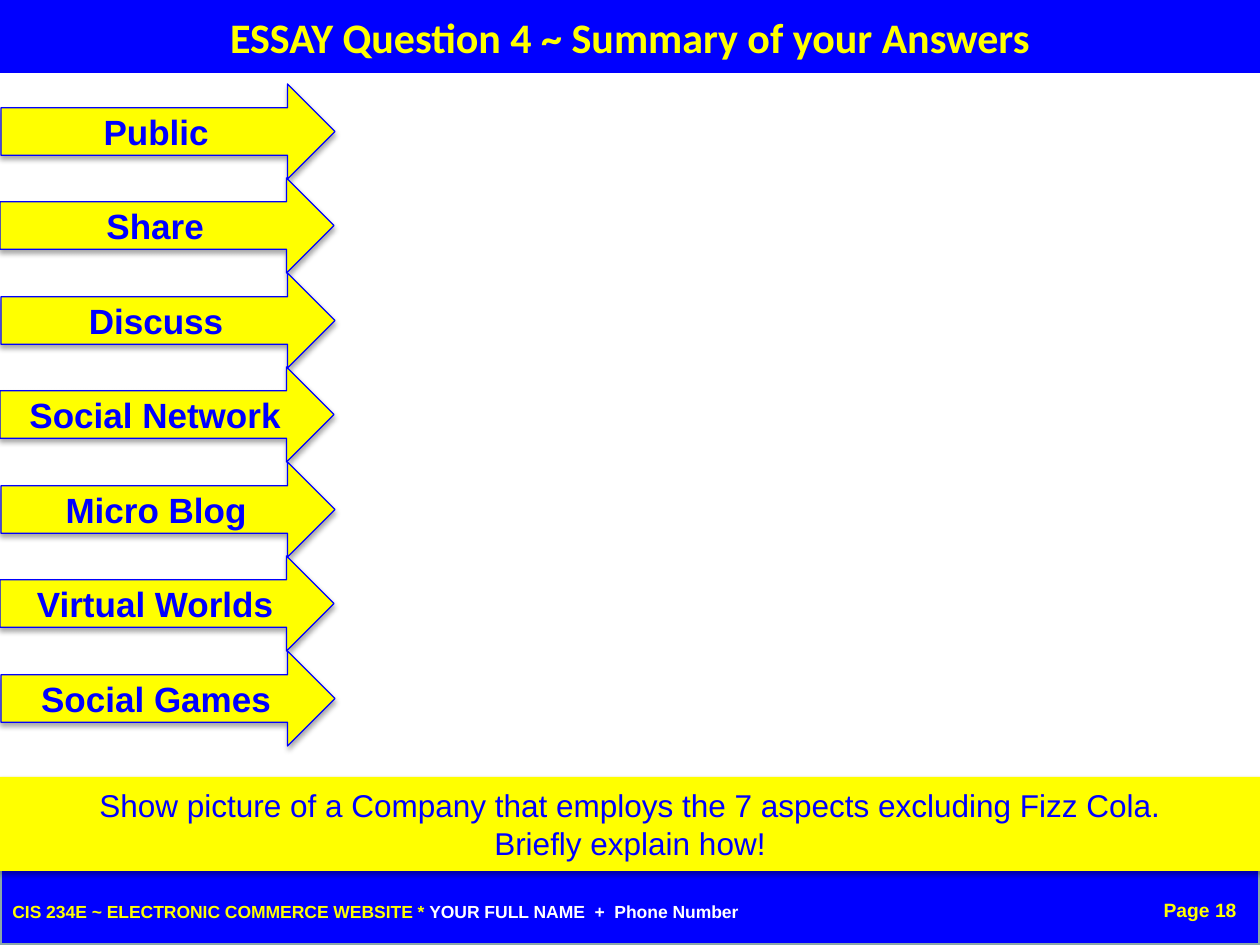
from dataclasses import dataclass

from lxml import etree
from pptx import Presentation
from pptx.dml.color import RGBColor
from pptx.enum.shapes import MSO_SHAPE
from pptx.enum.text import MSO_ANCHOR, MSO_AUTO_SIZE, PP_ALIGN
from pptx.oxml.ns import qn
from pptx.util import Emu, Pt

RECT, ARROW = MSO_SHAPE.RECTANGLE, MSO_SHAPE.RIGHT_ARROW
MIDDLE, TOP = MSO_ANCHOR.MIDDLE, MSO_ANCHOR.TOP
LEFT, CENTER, RIGHT = PP_ALIGN.LEFT, PP_ALIGN.CENTER, PP_ALIGN.RIGHT
FIXED = MSO_AUTO_SIZE.NONE


@dataclass(frozen=True)
class Theme:
    blue: str = "0000FF"
    yellow: str = "FFFF00"
    white: str = "FFFFFF"
    edge: str = "8AA6A8"
    shade: str = "000000"
    head: str = "Calibri"
    body: str = "Arial"
    title: int = 24
    label: int = 20
    task: int = 18
    page: int = 11
    foot: int = 10


@dataclass(frozen=True)
class Box:
    x: int
    y: int
    w: int
    h: int

    def emu(self) -> list[Emu]:
        return [px(n) for n in (self.x, self.y, self.w, self.h)]


@dataclass(frozen=True)
class Run:
    text: str
    size: int
    color: str
    bold: bool = True
    font: str = "Arial"


THEME = Theme()
LABELS = ("Public", "Share", "Discuss", "Social Network",
          "Micro Blog", "Virtual Worlds", "Social Games")


def px(n: int) -> Emu:
    return Emu(round(n * 914400 / 126))


def rgb(code: str) -> RGBColor:
    return RGBColor.from_string(code)


def write(shape, lines: list[list[Run]], align, anchor=MIDDLE,
          wrap: bool = True, gap: int = 0) -> None:
    frame = shape.text_frame
    frame.auto_size = FIXED
    frame.word_wrap = wrap
    frame.vertical_anchor = anchor
    for i, line in enumerate(lines):
        para = frame.add_paragraph() if i else frame.paragraphs[0]
        para.alignment = align
        para.space_before = Pt(gap)
        for item in line:
            run = para.add_run()
            run.text = item.text
            font = run.font
            font.name, font.size, font.bold = item.font, Pt(item.size), item.bold
            font.color.rgb = rgb(item.color)


def paint(shape, fill: str, line: str = "", width: float = 0) -> None:
    shape.fill.solid()
    shape.fill.fore_color.rgb = rgb(fill)
    if line:
        shape.line.color.rgb = rgb(line)
        shape.line.width = Pt(width)
    else:
        shape.line.fill.background()


def block(slide, kind, box: Box, fill: str, line: str = "", width: float = 0):
    shape = slide.shapes.add_shape(kind, *box.emu())
    shape.shadow.inherit = False
    paint(shape, fill, line, width)
    return shape


def shade(shape) -> None:
    """Soft shadow straight below the shape."""
    effects = shape.element.spPr.find(qn("a:effectLst"))
    outer = etree.SubElement(effects, qn("a:outerShdw"), blurRad=str(Pt(3.1)),
                             dist=str(Pt(1.8)), dir="5400000", rotWithShape="0")
    color = etree.SubElement(outer, qn("a:srgbClr"), val=THEME.shade)
    etree.SubElement(color, qn("a:alpha"), val="35000")


def note(slide, box: Box, runs: list[Run], align) -> None:
    text = slide.shapes.add_textbox(*box.emu())
    write(text, [runs], align, TOP, gap=3)


def main() -> None:
    t = THEME
    deck = Presentation()
    deck.slide_width, deck.slide_height = px(1260), px(945)
    slide = deck.slides.add_slide(deck.slide_layouts[5])

    # Title band
    title = slide.shapes.title
    title.left, title.top, title.width, title.height = Box(0, 0, 1260, 73).emu()
    paint(title, t.blue)
    write(title, [[Run("ESSAY Question 4 ~ Summary of your Answers",
                       t.title, t.yellow, font=t.head)]], CENTER, wrap=False)

    # Footer band
    block(slide, RECT, Box(0, 869, 1260, 76), t.blue, t.edge, 2)
    note(slide, Box(829, 892, 420, 32), [Run("Page 18", t.page, t.yellow)], RIGHT)
    note(slide, Box(0, 895, 1144, 50), [
        Run("CIS 234E ~ ELECTRONIC COMMERCE WEBSITE * ", t.foot, t.yellow),
        Run("YOUR FULL NAME  +  Phone Number", t.foot, t.white)], LEFT)

    # Task band
    task = block(slide, RECT, Box(0, 777, 1260, 94), t.yellow)
    shade(task)
    words = ("Show picture of a Company that employs the 7 aspects "
             "excluding Fizz Cola.", "Briefly explain how!")
    write(task, [[Run(w, t.task, t.blue, False, t.body)] for w in words], CENTER)

    # Arrows, every other one shifted by a pixel
    for i, label in enumerate(LABELS):
        box = Box(1 - i % 2, 84 + i * 189 // 2, 334, 95)
        arrow = block(slide, ARROW, box, t.yellow, t.blue, 0.75)
        shade(arrow)
        write(arrow, [[Run(label, t.label, t.blue, font=t.body)]], CENTER)

    deck.save("out.pptx")


if __name__ == "__main__":
    main()
